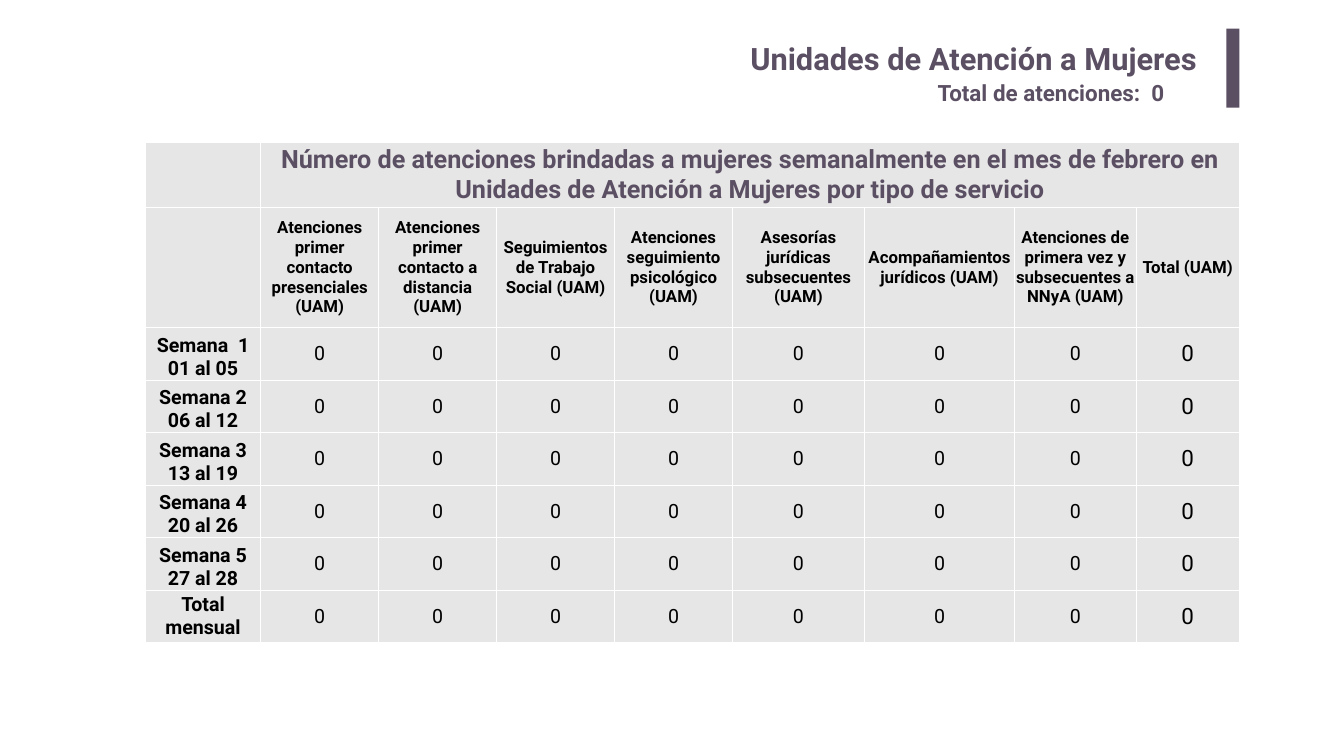
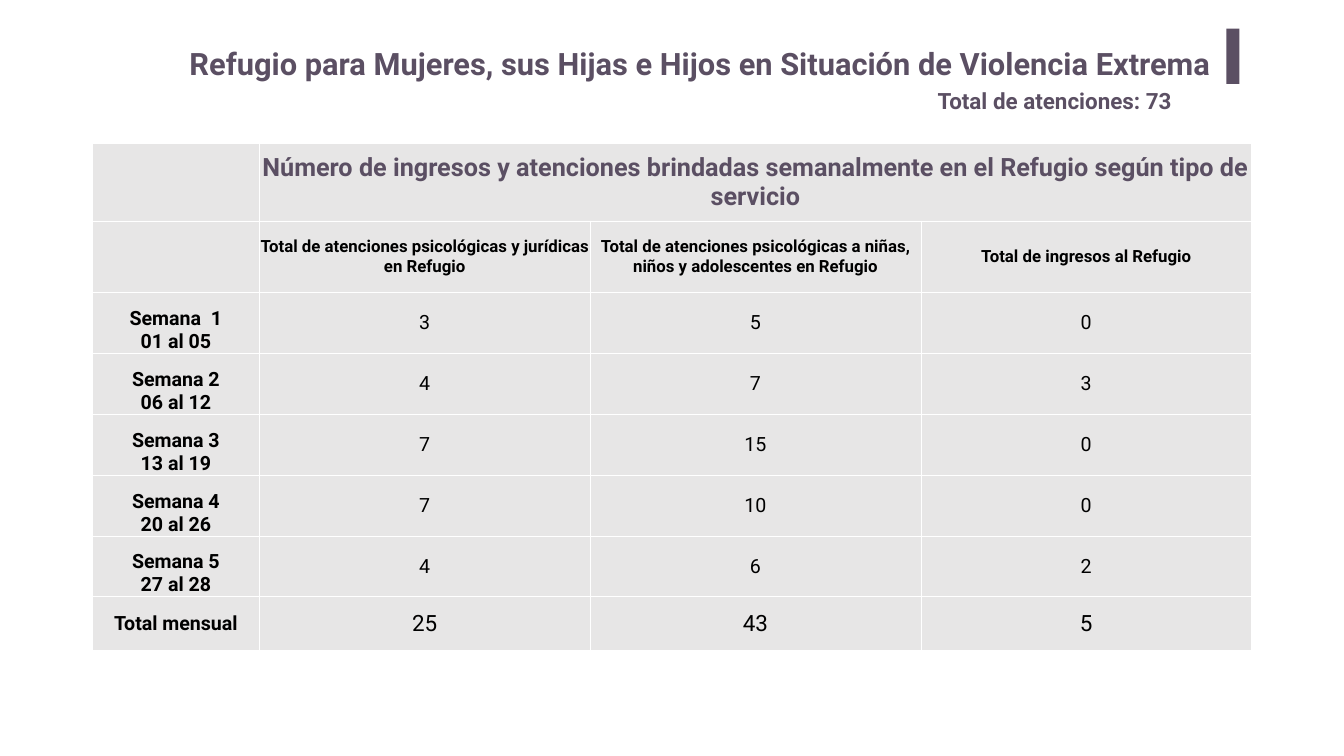
from lxml.etree import SubElement
from pptx import Presentation
from pptx.dml.color import RGBColor
from pptx.enum.shapes import MSO_SHAPE
from pptx.enum.text import MSO_ANCHOR, MSO_AUTO_SIZE, PP_ALIGN
from pptx.oxml.ns import qn
from pptx.util import Pt

COLORS = {"plum": "5B4F63", "cell": "E7E6E6", "text": "000000", "border": "FFFFFF"}
FONT = "Roboto"
WEEKS = ["Semana  1\v01 al 05", "Semana 2\v06 al 12", "Semana 3\v13 al 19",
         "Semana 4\v20 al 26", "Semana 5\v27 al 28"]

# Boxes are (left, top, width, height); rows are heights of title, header, week and total.
REPORTS = [
    {
        "title": "Unidades de Atención a Mujeres",
        "title_box": (263.5, 46, 1461.5, 73.5), "title_inset": 14.4,
        "align": PP_ALIGN.RIGHT,
        "total": "Total de atenciones:  0", "total_top": 110,
        "bar_height": 113,
        "heading": "Número de atenciones brindadas a mujeres semanalmente en el mes "
                   "de febrero en Unidades de Atención a Mujeres por tipo de servicio",
        "services": ["Atenciones primer contacto presenciales (UAM)",
                     "Atenciones primer contacto a distancia (UAM)",
                     "Seguimientos de Trabajo Social (UAM)",
                     "Atenciones seguimiento psicológico (UAM)",
                     "Asesorías jurídicas subsecuentes (UAM)",
                     "Acompañamientos jurídicos (UAM)",
                     "Atenciones de primera vez y subsecuentes a NNyA (UAM)",
                     "Total (UAM)"],
        "counts": [[0] * 8] * len(WEEKS),
        "table_at": (207.5, 203),
        "columns": [165, 168.5, 168.5, 168.5, 168.5, 188.5, 214.5, 173.5, 147.5],
        "rows": (93, 172, 75, 75),
        "large": "last column",
    },
    {
        "title": "Refugio para Mujeres, sus Hijas e Hijos en Situación de Violencia Extrema",
        "title_box": (263.5, 60.5, 1492.5, 60.5), "title_inset": 7.2,
        "align": PP_ALIGN.LEFT,
        "total": "Total de atenciones: 73", "total_top": 121.5,
        "bar_height": 79,
        "heading": "Número de ingresos y atenciones brindadas semanalmente en el "
                   "Refugio según tipo de servicio",
        "services": ["Total de atenciones psicológicas y jurídicas en Refugio",
                     "Total de atenciones psicológicas a niñas, niños y adolescentes en Refugio",
                     "Total de ingresos al Refugio"],
        "counts": [[3, 5, 0], [4, 7, 3], [7, 15, 0], [7, 10, 0], [4, 6, 2]],
        "table_at": (132, 204.5),
        "columns": [238.5, 472.5, 472.5, 472.5],
        "rows": (111, 102, 87, 77),
        "large": "last row",
    },
]


def rgb(name):
    return RGBColor.from_string(COLORS[name])


def write(tf, text, size, color="plum", bold=True, align=PP_ALIGN.LEFT):
    p = tf.paragraphs[0]
    p.text = text
    p.alignment = align
    for r in p.runs:
        for name, value in {"name": FONT, "size": Pt(size), "bold": bold}.items():
            setattr(r.font, name, value)
        r.font.color.rgb = rgb(color)


def style_cell(cell):
    """Give the cell thin white borders, a grey fill and narrow margins."""
    tcPr = cell._tc.get_or_add_tcPr()
    for side in ("lnL", "lnR", "lnT", "lnB"):
        ln = SubElement(tcPr, qn(f"a:{side}"), w=str(Pt(1)))
        SubElement(SubElement(ln, qn("a:solidFill")), qn("a:srgbClr"), val=COLORS["border"])
    cell.fill.solid()
    cell.fill.fore_color.rgb = rgb("cell")
    margin = Pt(0.72)
    for name, value in {"margin_left": margin, "margin_right": margin, "margin_top": margin,
                        "margin_bottom": 0, "vertical_anchor": MSO_ANCHOR.MIDDLE}.items():
        setattr(cell, name, value)


def add_header(s, report):
    """Title, total of services and the vertical bar at their right."""
    bar = s.shapes.add_shape(MSO_SHAPE.RECTANGLE, Pt(1752), Pt(41), Pt(18.5),
                             Pt(report["bar_height"]))
    bar.shadow.inherit = False
    bar.fill.solid()
    bar.fill.fore_color.rgb = rgb("plum")
    bar.line.fill.background()

    title = s.shapes.title
    for name, value in zip(("left", "top", "width", "height"), report["title_box"]):
        setattr(title, name, Pt(value))
    inset = Pt(report["title_inset"])
    for name, value in {"margin_left": inset, "margin_right": inset, "margin_top": inset // 2,
                        "margin_bottom": inset // 2, "word_wrap": True,
                        "auto_size": MSO_AUTO_SIZE.NONE,
                        "vertical_anchor": MSO_ANCHOR.MIDDLE}.items():
        setattr(title.text_frame, name, value)
    write(title.text_frame, report["title"], 44, align=report["align"])

    total = s.shapes.add_textbox(Pt(1332.5), Pt(report["total_top"]), Pt(396.5), Pt(46))
    total.text_frame.word_wrap = True
    write(total.text_frame, report["total"], 32)


def add_weekly_table(s, report):
    columns, counts = report["columns"], report["counts"]
    title_h, header_h, week_h, total_h = report["rows"]
    heights = [title_h, header_h] + [week_h] * len(WEEKS) + [total_h]
    left, top = report["table_at"]
    table = s.shapes.add_table(len(heights), len(columns), Pt(left), Pt(top),
                               Pt(sum(columns)), Pt(sum(heights))).table
    for column, width in zip(table.columns, columns):
        column.width = Pt(width)
    for row, height in zip(table.rows, heights):
        row.height = Pt(height)
    for cell in table.iter_cells():
        style_cell(cell)

    center = PP_ALIGN.CENTER
    table.cell(0, 1).merge(table.cell(0, len(columns) - 1))
    write(table.cell(0, 1).text_frame, report["heading"], 36, align=center)
    for c, service in enumerate(report["services"], 1):
        write(table.cell(1, c).text_frame, service, 24, "text", align=center)

    monthly = [sum(column) for column in zip(*counts)]
    last_row, last_column = len(heights) - 1, len(columns) - 1
    for r, (label, values) in enumerate(zip(WEEKS + ["Total mensual"], counts + [monthly]), 2):
        write(table.cell(r, 0).text_frame, label, 28, "text", align=center)
        if r < last_row:
            table.cell(r, 0).vertical_anchor = MSO_ANCHOR.BOTTOM
        for c, value in enumerate(values, 1):
            large = c == last_column if report["large"] == "last column" else r == last_row
            write(table.cell(r, c).text_frame, str(value), 32 if large else 28,
                  "text", bold=False, align=center)


def main():
    prs = Presentation()
    prs.slide_width, prs.slide_height = Pt(1920), Pt(1080)
    for report in REPORTS:
        s = prs.slides.add_slide(prs.slide_layouts[5])
        add_header(s, report)
        add_weekly_table(s, report)
    prs.save("out.pptx")


if __name__ == "__main__":
    main()
